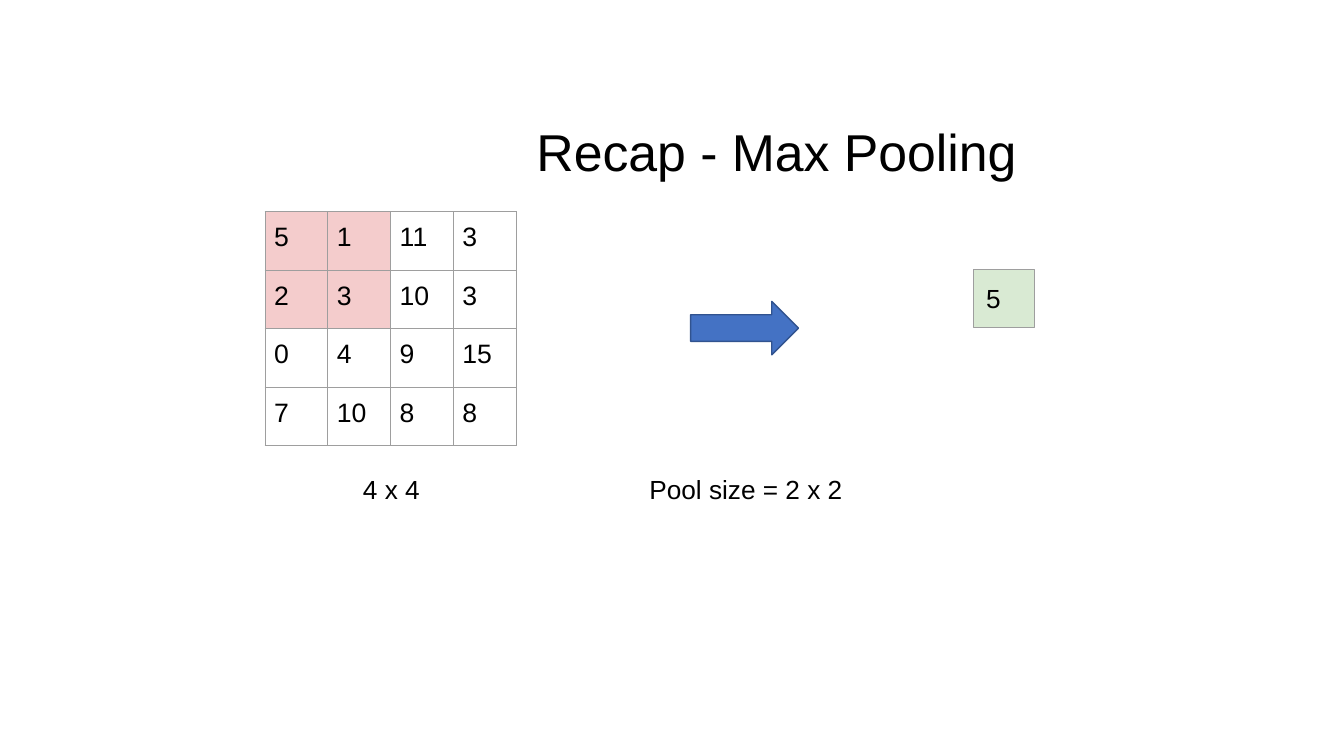
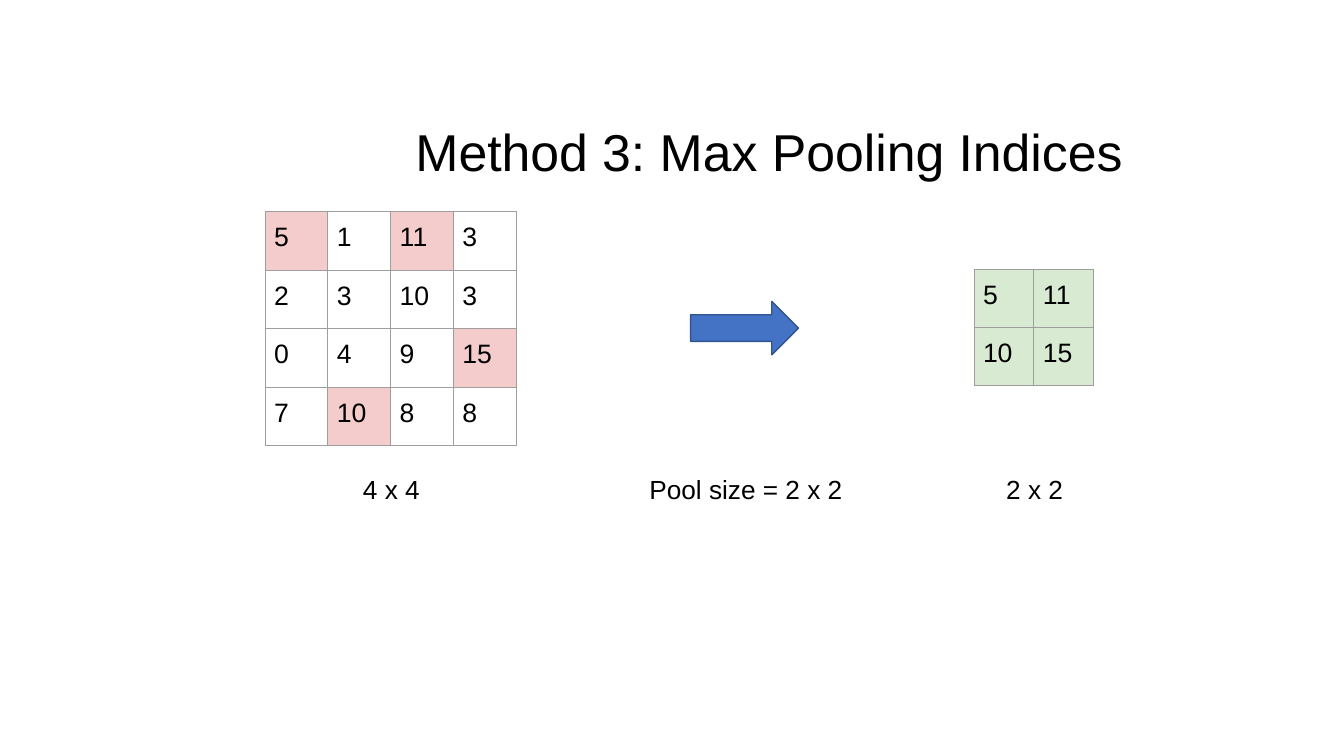
from dataclasses import dataclass
from itertools import product

from lxml.etree import SubElement
from pptx import Presentation
from pptx.dml.color import RGBColor
from pptx.enum.shapes import MSO_SHAPE
from pptx.enum.text import MSO_ANCHOR, MSO_AUTO_SIZE, PP_ALIGN
from pptx.oxml.ns import qn
from pptx.util import Inches, Pt


@dataclass(frozen=True)
class Theme:
    """Colours, type sizes and line widths of the deck."""

    font: str = "Arial"
    ink: str = "000000"
    rule: str = "9E9E9E"
    pink: str = "F4CCCC"
    green: str = "D9EAD3"
    blue: str = "4472C4"
    navy: str = "31538F"
    title: float = 37
    body: float = 18.7
    cell: float = 19
    thin: float = 0.75
    edge: float = 1


THEME = Theme()
TOP = 0.11
GRID = ((5, 1, 11, 3), (2, 3, 10, 3), (0, 4, 9, 15), (7, 10, 8, 8))
POOLED = ((5, 11), (10, 15))


def write(frame, text, size=THEME.body, left=0, top=0, anchor=MSO_ANCHOR.TOP):
    """Put one line of left-aligned text in a frame."""
    frame.word_wrap = True
    frame.auto_size = MSO_AUTO_SIZE.NONE
    frame.vertical_anchor = anchor
    frame.margin_left, frame.margin_top = Inches(left), Inches(top)
    frame.margin_right = frame.margin_bottom = 0
    frame.text = text
    line = frame.paragraphs[0]
    line.alignment = PP_ALIGN.LEFT
    line.font.name = THEME.font
    line.font.size = Pt(size)
    line.font.color.rgb = RGBColor.from_string(THEME.ink)


def paint(fill, tint):
    """Fill with a colour, or clear the fill when there is none."""
    if tint:
        fill.solid()
        fill.fore_color.rgb = RGBColor.from_string(tint)
    else:
        fill.background()


class Deck:
    """The style and the current slide."""

    def __init__(self, theme):
        """Open an empty wide deck."""
        self.theme = theme
        self.show = Presentation()
        self.show.slide_width = Inches(13.33)
        self.show.slide_height = Inches(7.5)
        self.slide = None

    def start(self, title, indent):
        """Add a slide with its title."""
        self.slide = self.show.slides.add_slide(self.show.slide_layouts[5])
        head = self.slide.shapes.title
        head.left, head.top = Inches(1.22), Inches(1.07)
        head.width, head.height = Inches(11), Inches(0.74)
        write(head.text_frame, title, size=self.theme.title, left=indent,
              top=TOP, anchor=MSO_ANCHOR.MIDDLE)

    def label(self, text, left, width=0.6):
        """Add a caption below the grids."""
        box = self.slide.shapes.add_textbox(
            Inches(left), Inches(4.68), Inches(width), Inches(0.33))
        write(box.text_frame, text, left=0.02, top=0.02)

    def shape(self, kind, area, tint, edge, width):
        """Add a filled and outlined preset shape."""
        shape = self.slide.shapes.add_shape(kind, *map(Inches, area))
        shape.shadow.inherit = False
        paint(shape.fill, tint)
        paint(shape.line.fill, edge)
        shape.line.width = Pt(width)
        return shape

    def arrow(self):
        """Add the block arrow between the grids."""
        self.shape(MSO_SHAPE.RIGHT_ARROW, (6.85, 2.99, 1.07, 0.53),
                   self.theme.blue, self.theme.navy, self.theme.edge)

    def tile(self, text):
        """Add a single result square."""
        tile = self.shape(MSO_SHAPE.RECTANGLE, (9.66, 2.67, 0.6, 0.58),
                          self.theme.green, self.theme.rule, self.theme.thin)
        write(tile.text_frame, text, left=0.12, anchor=MSO_ANCHOR.MIDDLE)

    def frame(self, cell):
        """Draw the four borders of a cell."""
        props = cell._tc.get_or_add_tcPr()
        for side in "LRTB":
            line = SubElement(props, qn(f"a:ln{side}"), w=str(Pt(self.theme.thin)))
            fill = SubElement(line, qn("a:solidFill"))
            SubElement(fill, qn("a:srgbClr"), val=self.theme.rule)

    def grid(self, rows, area, marks, tint):
        """Add a table of numbers with the marked cells tinted."""
        left, top, width, height = map(Inches, area)
        table = self.slide.shapes.add_table(
            len(rows), len(rows[0]), left, top, width, height).table
        table.first_row = table.horz_banding = False
        for r, row in enumerate(rows):
            for c, value in enumerate(row):
                cell = table.cell(r, c)
                write(cell.text_frame, str(value), size=self.theme.cell)
                cell.margin_left, cell.margin_top = Inches(0.09), Inches(TOP)
                cell.margin_right = cell.margin_bottom = 0
                self.frame(cell)
                paint(cell.fill, tint if (r, c) in marks else None)

    def scene(self, title, indent, marks):
        """Add a slide with the parts that every pooling step shares."""
        self.start(title, indent)
        self.grid(GRID, (2.63, 2.1, 2.49, 2.32), marks, self.theme.pink)
        self.label("4 x 4", 3.58)
        self.label("Pool size = 2 x 2", 6.42, width=1.95)
        self.arrow()


def main():
    """Build and save the deck."""
    deck = Deck(THEME)
    block = set(product(range(2), repeat=2))

    deck.scene("Recap - Max Pooling", 4.1, block)
    deck.tile("5")

    deck.scene("Method 3: Max Pooling Indices", 2.9,
               {(0, 0), (0, 2), (2, 3), (3, 1)})
    deck.grid(POOLED, (9.66, 2.67, 1.19, 1.15), block, THEME.green)
    deck.label("2 x 2", 9.96)

    deck.show.save("out.pptx")


if __name__ == "__main__":
    main()
